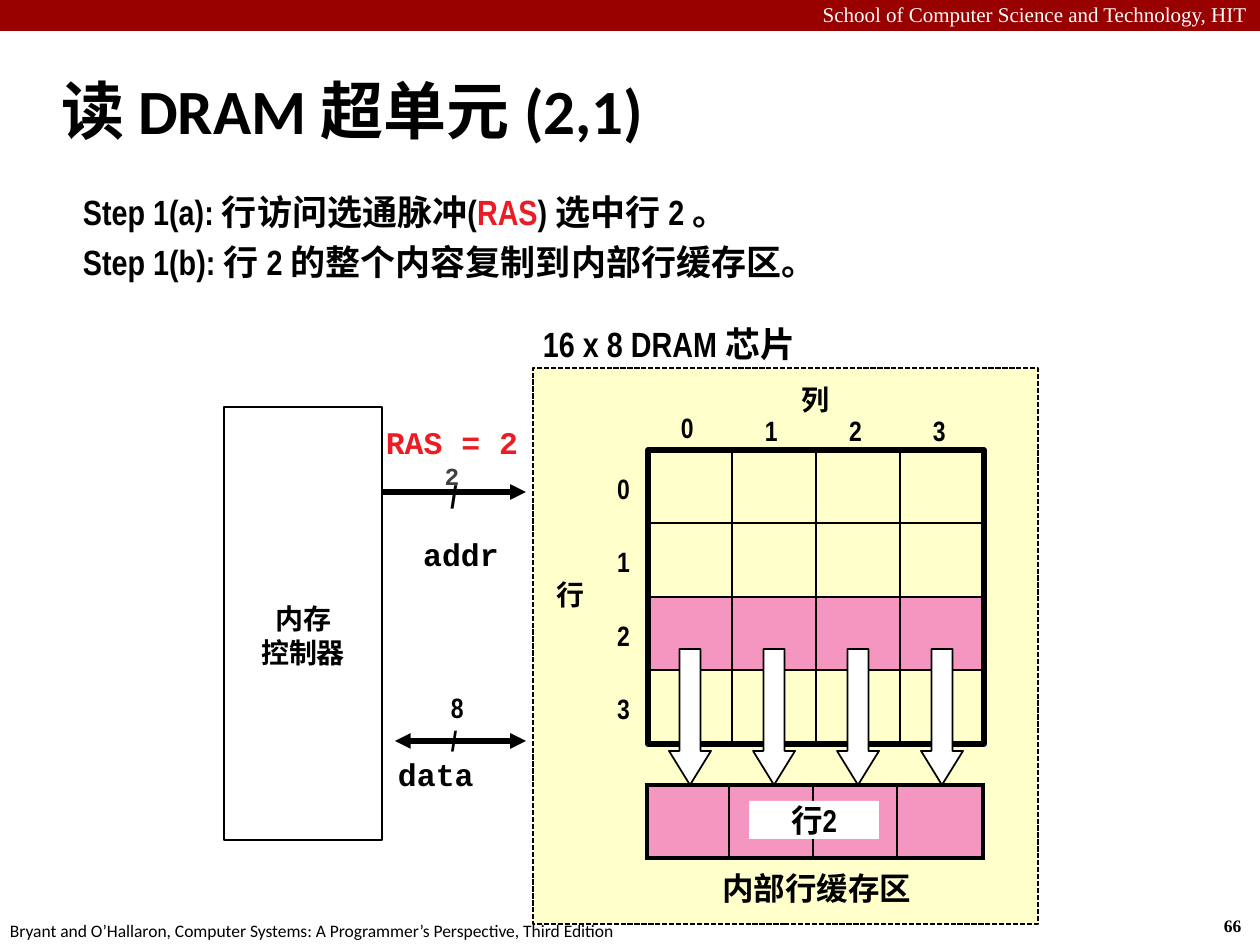
from lxml import etree
from pptx import Presentation
from pptx.dml.color import RGBColor
from pptx.enum.dml import MSO_LINE
from pptx.enum.shapes import MSO_CONNECTOR, MSO_SHAPE
from pptx.enum.text import MSO_ANCHOR, PP_ALIGN
from pptx.oxml.ns import qn
from pptx.util import Emu, Pt

COLORS = {"black": "000000", "white": "FFFFFF", "banner": "990000",
          "chip": "FFFFCC", "row": "F496BF", "red": "ED1C24", "gray": "404040"}
NARROW, MONO, SERIF, SANS = "Arial Narrow", "Courier New", "Times New Roman", "Calibri"
LEFT, CENTER, RIGHT = PP_ALIGN.LEFT, PP_ALIGN.CENTER, PP_ALIGN.RIGHT
EMU_PER_PX = 914400 / 126


def px(length):
    return Emu(round(length * EMU_PER_PX))


def rgb(name):
    return RGBColor.from_string(COLORS[name])


class SlideBuilder:
    def __init__(self, slide):
        self.slide = slide

    def fill_text(self, frame, paragraphs, size=16, font=NARROW, color="black", bold=True,
                  align=LEFT, anchor=MSO_ANCHOR.TOP, wrap=True):
        """Each paragraph is (runs, layout); each run is (text, style overrides)."""
        frame.margin_left = frame.margin_right = frame.margin_bottom = 0
        frame.margin_top = 0
        frame.word_wrap = wrap
        frame.vertical_anchor = anchor
        for index, (runs, layout) in enumerate(paragraphs):
            paragraph = frame.paragraphs[0] if index == 0 else frame.add_paragraph()
            paragraph.alignment = align
            if "before" in layout:
                paragraph.space_before = Pt(layout["before"])
            if "line" in layout:
                paragraph.line_spacing = Pt(layout["line"])
            if "margin" in layout:
                paragraph._p.get_or_add_pPr().set("marL", str(px(layout["margin"])))
            for text, style in runs:
                run = paragraph.add_run()
                run.text = text
                run.font.size = Pt(style.get("size", size))
                run.font.name = style.get("font", font)
                run.font.bold = bold
                run.font.color.rgb = rgb(style.get("color", color))

    def text(self, left, top, width, height, paragraphs, **style):
        if isinstance(paragraphs, str):
            paragraphs = [([(paragraphs, {})], {})]
        box = self.slide.shapes.add_textbox(px(left), px(top), px(width), px(height))
        self.fill_text(box.text_frame, paragraphs, **style)

    def shape(self, left, top, width, height, fill=None, line=None,
              kind=MSO_SHAPE.RECTANGLE, dash=None):
        shape = self.slide.shapes.add_shape(kind, px(left), px(top), px(width), px(height))
        shape.shadow.inherit = False
        if fill:
            shape.fill.solid()
            shape.fill.fore_color.rgb = rgb(fill)
        else:
            shape.fill.background()
        if line:
            shape.line.color.rgb = rgb("black")
            shape.line.width = Pt(line)
            shape.line.dash_style = dash
        else:
            shape.line.fill.background()
        return shape

    def arrow(self, start, end, y, both=False):
        connector = self.slide.shapes.add_connector(
            MSO_CONNECTOR.STRAIGHT, px(start), px(y), px(end), px(y))
        connector.line.color.rgb = rgb("black")
        connector.line.width = Pt(3)
        line = connector.line._get_or_add_ln()
        for tag in ("a:headEnd", "a:tailEnd") if both else ("a:tailEnd",):
            etree.SubElement(line, qn(tag), type="triangle")
        etree.SubElement(connector._element.spPr, qn("a:effectLst"))

    def table_row(self, left, top, widths, height, fill):
        frame = self.slide.shapes.add_table(
            1, len(widths), px(left), px(top), px(sum(widths)), px(height))
        table = frame.table
        table.first_row = table.horz_banding = False
        table.rows[0].height = px(height)
        last = len(widths) - 1
        for index, width in enumerate(widths):
            table.columns[index].width = px(width)
            cell = table.cell(0, index)
            borders = {"a:lnL": 3 if index == 0 else 1,
                       "a:lnR": 3 if index == last else 1, "a:lnT": 3, "a:lnB": 3}
            properties = cell._tc.get_or_add_tcPr()
            for tag, weight in borders.items():
                border = etree.SubElement(properties, qn(tag), w=str(Pt(weight)))
                solid = etree.SubElement(border, qn("a:solidFill"))
                etree.SubElement(solid, qn("a:srgbClr"), val=COLORS["black"])
            cell.fill.solid()
            cell.fill.fore_color.rgb = rgb(fill)


def main():
    presentation = Presentation()
    presentation.slide_width, presentation.slide_height = px(1260), px(945)
    slide = presentation.slides.add_slide(presentation.slide_layouts[6])
    builder = SlideBuilder(slide)

    # Banner and footer
    builder.shape(0, 0, 1260, 31, fill="banner")
    builder.text(0, 2, 1247, 28, "School of Computer Science and Technology, HIT",
                 size=12, font=SERIF, color="white", bold=False, align=RIGHT)
    builder.text(1224, 915, 24, 22, "66", size=10, font=SERIF, wrap=False)
    builder.text(10, 920, 615, 22, "Bryant and O’Hallaron, Computer Systems: "
                 "A Programmer’s Perspective, Third Edition",
                 size=10, font=SANS, bold=False, wrap=False)

    # Title and steps
    builder.text(61, 71, 786, 76, "读 DRAM 超单元 (2,1)", size=36, font=SANS,
                 anchor=MSO_ANCHOR.MIDDLE)
    builder.text(83, 190, 823, 94, [
        ([("Step 1(a): 行访问选通脉冲(", {}), ("RAS", {"color": "red"}),
          (") 选中行 2 。", {})], {}),
        ([("Step 1(b): 行 2 的整个内容复制到内部行缓存区。", {})], {"before": 4.8}),
    ], size=20)

    # Chip outline
    builder.shape(533, 368, 505, 556, fill="chip", line=1, dash=MSO_LINE.SQUARE_DOT)
    builder.text(543, 322, 480, 44, "16 x 8 DRAM 芯片", size=20)
    builder.text(789, 383, 53, 34, "列", align=CENTER)
    builder.text(557, 578, 38, 34, "行")

    # Cell grid with row 2 selected
    grid_left, grid_top, cell_width, grid_height = 648, 450, 84, 294
    row_edges = [grid_top + grid_height * row // 4 for row in range(5)]
    for row in range(4):
        top, bottom = row_edges[row], row_edges[row + 1]
        builder.text(617, top + 22, 17, 35, str(row))
        for column in range(4):
            builder.shape(grid_left + column * cell_width, top, cell_width, bottom - top,
                          fill="row" if row == 2 else None, line=1)
    for column in range(4):
        builder.text(681 + column * cell_width, 411 if column == 0 else 414, 17, 35,
                     str(column))
    builder.shape(grid_left, grid_top, 4 * cell_width, grid_height, line=3)

    # Internal row buffer
    builder.table_row(647, 785, [82, 84, 84, 86], 73, "row")
    for column in range(4):
        arrow = builder.shape(669 + column * cell_width, 649, 42, 136, fill="white", line=1,
                              kind=MSO_SHAPE.DOWN_ARROW)
        arrow.adjustments[0] = 0.5
        arrow.adjustments[1] = 0.81
    label = builder.shape(749, 801, 130, 38, fill="white")
    builder.fill_text(label.text_frame, [([("行2", {})], {})], size=18, align=CENTER)
    builder.text(722, 873, 205, 34, [([("内部行缓存区", {})], {"line": 19.1})], size=18)

    # Memory controller
    controller = builder.shape(224, 407, 158, 433, fill="white", line=1)
    builder.fill_text(controller.text_frame,
                      [([("内存", {})], {}), ([("控制器", {})], {})],
                      align=CENTER, anchor=MSO_ANCHOR.MIDDLE)
    controller.text_frame.margin_top = px(23)

    # Address and data buses
    builder.text(384, 423, 136, 151, [
        ([("RAS = 2", {"color": "red"})], {}),
        ([("2", {"size": 14, "color": "gray"})], {}),
        ([("/", {"font": NARROW})], {"line": 14.2, "margin": 4}),
        ([("addr", {})], {"line": 18.9, "before": 14.2, "margin": 18}),
    ], size=18, font=MONO, align=CENTER)
    builder.text(451, 690, 14, 68, [([("8", {})], {}), ([("/", {})], {})])
    builder.text(398, 755, 95, 38, "data", size=18, font=MONO)
    builder.arrow(382, 526, 492)
    builder.arrow(395, 526, 741, both=True)

    presentation.save("out.pptx")


if __name__ == "__main__":
    main()
